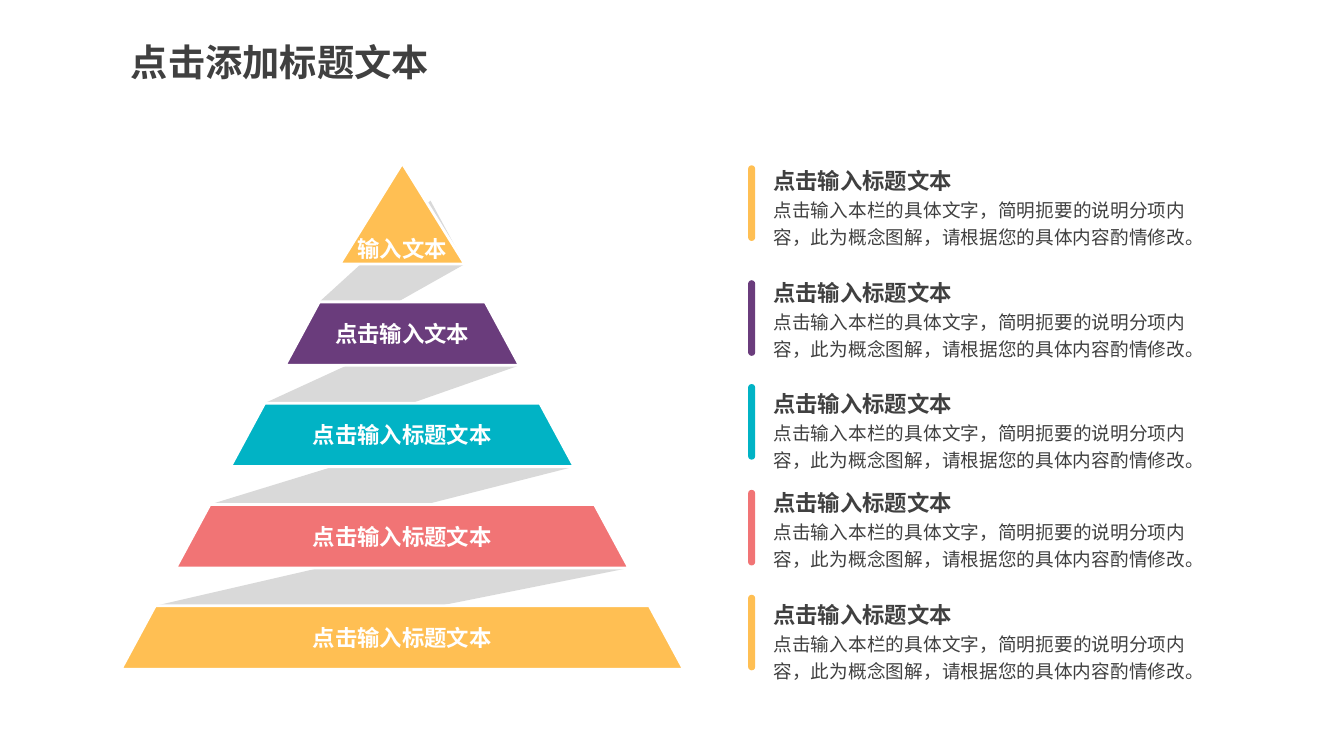
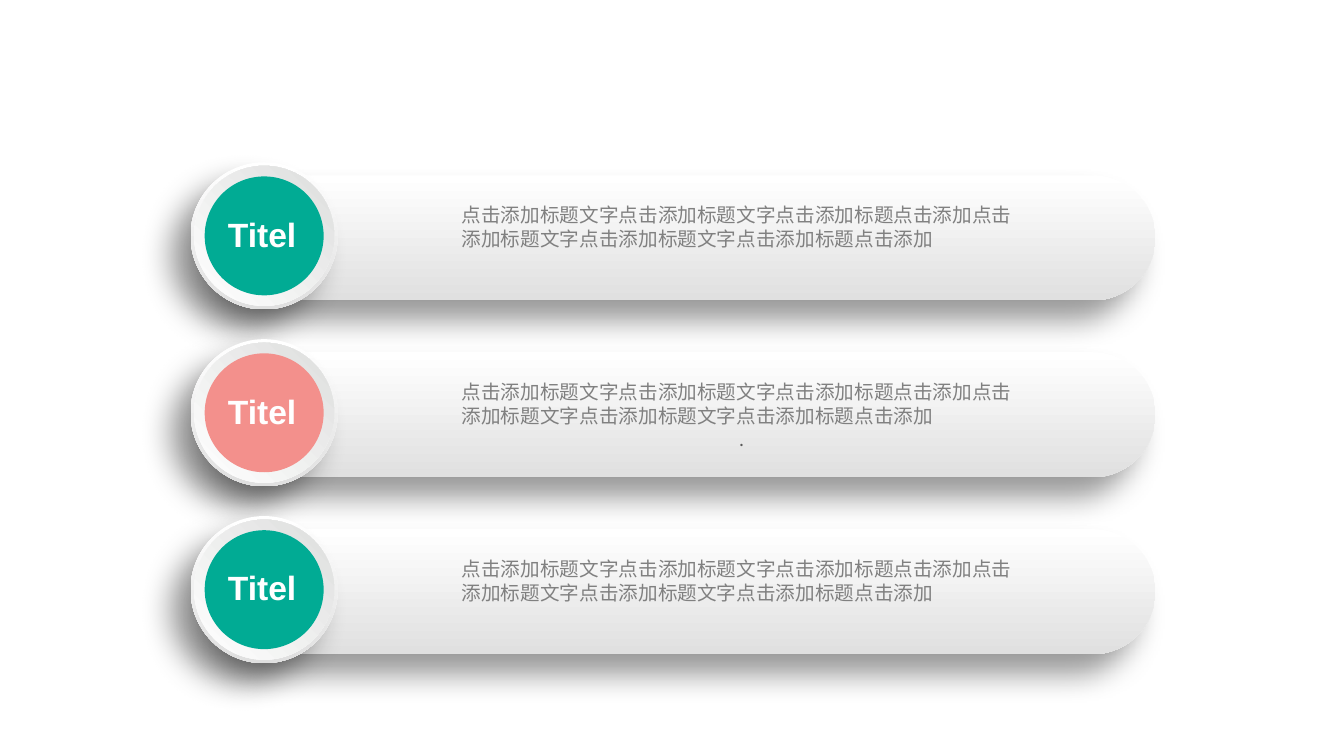
from pptx import Presentation
from pptx.dml.color import RGBColor
from pptx.enum.shapes import MSO_SHAPE as Preset
from pptx.enum.text import MSO_ANCHOR as Anchor, PP_ALIGN as Align
from pptx.oxml.ns import qn
from pptx.util import Inches, Pt
from lxml.etree import SubElement

CJK = "Noto Sans CJK SC"
INK, WHITE, RIBBON = "404040", "FFFFFF", "D9D9D9"
AMBER, PURPLE, CYAN, CORAL = "FFBF53", "6A3C7C", "01B3C5", "F17475"
GREEN, PINK = "01AB94", "F3908C"
SILVER = (WHITE, "E0E0E0", 90)
RIM = (WHITE, "DDDEDD", 315)

LEVELS = [
    ("输入文本", AMBER),
    ("点击输入文本", PURPLE),
    ("点击输入标题文本", CYAN),
    ("点击输入标题文本", CORAL),
    ("点击输入标题文本", AMBER),
]
HEADING = "点击输入标题文本"
BODY = "点击输入本栏的具体文字，简明扼要的说明分项内容，此为概念图解，请根据您的具体内容酌情修改。"
NOTES = [
    (1.64, 1.62, AMBER),
    (2.78, 2.73, PURPLE),
    (3.81, 3.83, CYAN),
    (4.86, 4.81, CORAL),
    (5.9, 5.92, AMBER),
]
BANNER_TEXT = "点击添加标题文字点击添加标题文字点击添加标题点击添加" * 2


def rgb(value):
    return RGBColor.from_string(value)


def write(para, text, size, color, font=CJK, bold=False, align=Align.LEFT, pitch=None):
    para.alignment = align
    if pitch:
        para.line_spacing = Pt(pitch)
    span = para.add_run()
    span.text = text
    span.font.name = font
    span.font.size = Pt(size)
    span.font.bold = bold
    span.font.color.rgb = rgb(color)
    SubElement(span._r.get_or_add_rPr(), qn("a:ea")).set("typeface", font)


def set_insets(frame, side, end):
    frame.margin_left = frame.margin_right = Inches(side)
    frame.margin_top = frame.margin_bottom = Inches(end)


def add_text(page, left, top, width, height, text, insets=(0.1, 0.05), wrap=True, **style):
    box = page.shapes.add_textbox(Inches(left), Inches(top), Inches(width), Inches(height))
    frame = box.text_frame
    frame.word_wrap = wrap
    set_insets(frame, *insets)
    write(frame.paragraphs[0], text, **style)
    return frame


def paint(shape, fill, line=None, shadow=False):
    shape.shadow.inherit = False
    if isinstance(fill, tuple):
        *colors, angle = fill
        shape.fill.gradient()
        shape.fill.gradient_angle = 360 - angle
        for stop, color in zip(shape.fill.gradient_stops, colors):
            stop.color.rgb = rgb(color)
    else:
        shape.fill.solid()
        shape.fill.fore_color.rgb = rgb(fill)
    if line:
        shape.line.color.rgb = rgb(line)
        shape.line.width = Pt(2)
    else:
        shape.line.fill.background()
    if shadow:
        effects = shape._element.spPr.find(qn("a:effectLst"))
        outer = SubElement(effects, qn("a:outerShdw"), blurRad=str(Pt(22)),
                           dist=str(Pt(20)), dir=str(135 * 60000), algn="tr", rotWithShape="0")
        color = SubElement(outer, qn("a:srgbClr"), val="000000")
        SubElement(color, qn("a:alpha"), val="40000")


def add_preset(page, preset, left, top, width, height, fill, radius=(), shadow=False):
    shape = page.shapes.add_shape(preset, Inches(left), Inches(top), Inches(width), Inches(height))
    for index, value in enumerate(radius):
        shape.adjustments[index] = value
    paint(shape, fill, shadow=shadow)


def add_polygon(page, points, fill, line=None):
    corners = [(Inches(x), Inches(y)) for x, y in points]
    builder = page.shapes.build_freeform(*corners[0], scale=1.0)
    builder.add_line_segments(corners[1:], close=True)
    shape = builder.convert_to_shape()
    paint(shape, fill, line)
    return shape


def add_title(page, text):
    add_text(page, 1.2, 0.3, 3.19, 0.55, text, wrap=False,
             size=26.6, color=INK, bold=True, pitch=35)


def add_pyramid(page, center, top):
    height, slant = 0.63, 0.34
    bases = [(0.62 + 0.5425 * i, top + 1 + 1.005 * i) for i in range(len(LEVELS))]
    for (half, base), (next_half, next_base) in zip(bases, bases[1:]):
        add_polygon(page, [
            (center + half - slant, base - height),
            (center - next_half + slant, next_base - height),
            (center - next_half, next_base),
            (center + half, base),
        ], RIBBON)
    for index, ((half, base), (label, color)) in enumerate(zip(bases, LEVELS)):
        upper = half - slant
        roof = [(center - upper, base - height), (center + upper, base - height)]
        if index == 0:
            roof = [(center, top)]
        shape = add_polygon(page, roof + [(center + half, base), (center - half, base)], color, WHITE)
        frame = shape.text_frame
        frame.word_wrap = True
        set_insets(frame, 0, 0.02)
        frame.vertical_anchor = Anchor.MIDDLE if index else Anchor.BOTTOM
        write(frame.paragraphs[0], label, 16, WHITE, bold=True, align=Align.CENTER)


def add_note(page, left, bar_top, top, color):
    add_preset(page, Preset.ROUND_2_SAME_RECTANGLE, left, bar_top, 0.07, 0.75, color, (0.5, 0.5))
    insets = (0.05, 0.03)
    add_text(page, left + 0.2, top + 0.28, 4.19, 0.59, BODY, insets,
             size=13.3, color=INK, align=Align.JUSTIFY, pitch=19.3)
    add_text(page, left + 0.2, top, 1.9, 0.32, HEADING, insets, wrap=False,
             size=16, color=INK, bold=True, pitch=20)


def add_banner(page, left, top, color):
    add_preset(page, Preset.ROUNDED_RECTANGLE, left + 0.31, top + 0.13, 9.26, 1.24,
               SILVER, (0.5,), shadow=True)
    discs = [(0, 1.46, SILVER, True), (0.035, 1.39, RIM, False), (0.14, 1.18, color, False)]
    for inset, size, fill, shadow in discs:
        add_preset(page, Preset.OVAL, left + inset, top + inset, size, size, fill, shadow=shadow)
    add_text(page, left + 0.23, top + 0.46, 0.96, 0.5, "Titel",
             size=24, color=WHITE, font="Arial", bold=True, align=Align.CENTER)
    return add_text(page, left + 2.59, top + 0.35, 5.75, 0.81, BANNER_TEXT,
                    size=14, color="808080", pitch=17)


def build_pyramid_page(page):
    add_title(page, "点击添加标题文本")
    add_pyramid(page, 3.99, 1.62)
    for bar_top, top, color in NOTES:
        add_note(page, 7.42, bar_top, top, color)


def build_banner_page(page):
    frames = [add_banner(page, 1.89, 1.61 + 1.755 * row, color)
              for row, color in enumerate((GREEN, PINK, GREEN))]
    write(frames[1].add_paragraph(), ".", 14, "595959", font="Calibri", align=Align.CENTER)


def main():
    deck = Presentation()
    deck.slide_width, deck.slide_height = Inches(13.33), Inches(7.5)
    for build in (build_pyramid_page, build_banner_page):
        build(deck.slides.add_slide(deck.slide_layouts[6]))
    deck.save("out.pptx")


if __name__ == "__main__":
    main()
